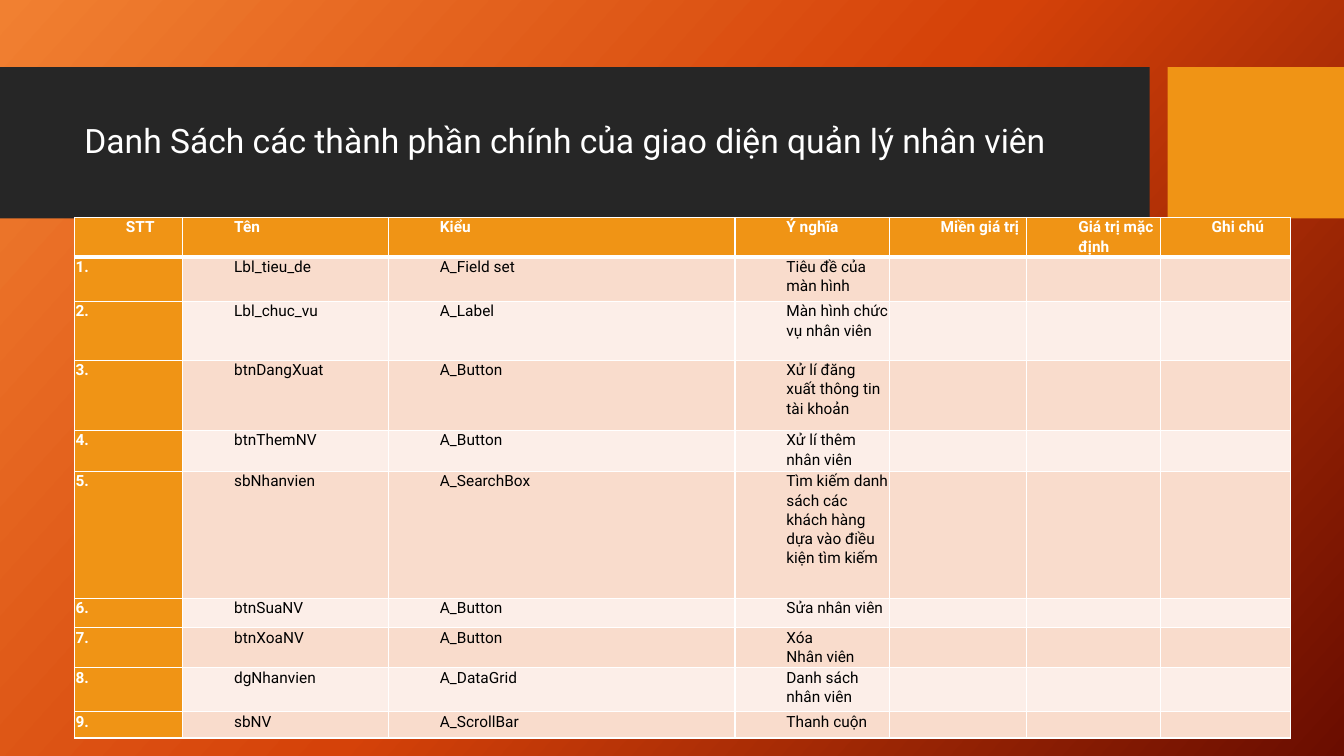
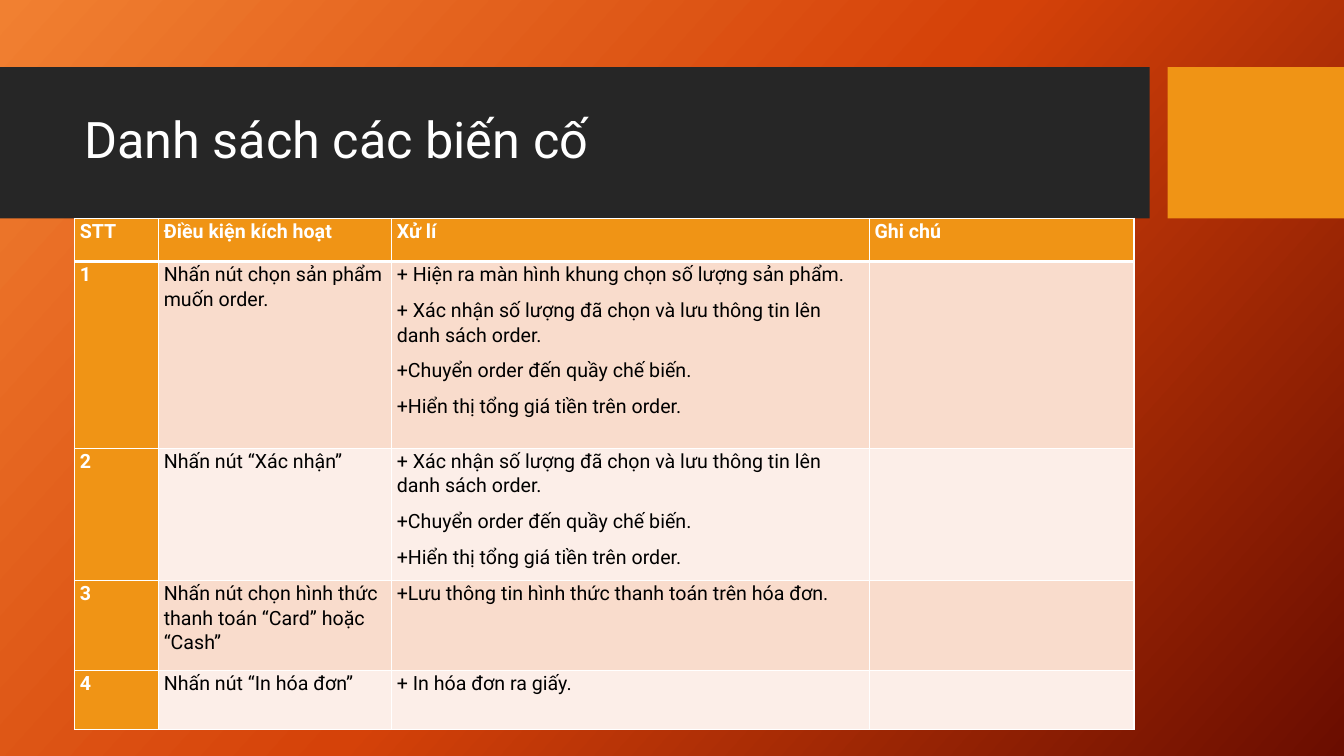
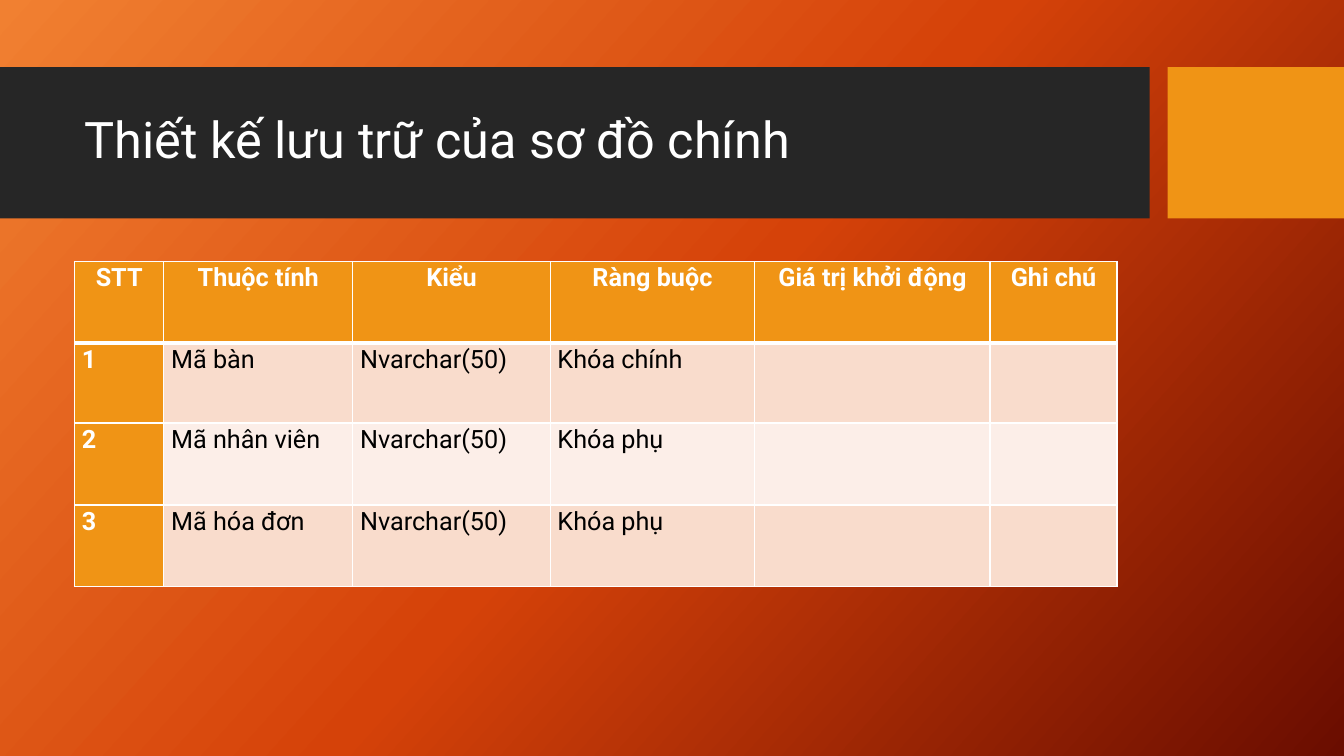
"""Three table slides on a staff and order system, sharing one dark title band."""
from copy import deepcopy
from dataclasses import dataclass

from lxml import etree
from pptx import Presentation, util as u
from pptx.dml.color import RGBColor
from pptx.enum import shapes, text
from pptx.oxml.ns import qn


@dataclass
class Theme:
    font: str = "Roboto"
    white: str = "FFFFFF"
    black: str = "000000"
    band: str = "262626"
    gold: str = "F09415"
    tints: tuple = ("F9DCCC", "FCEEE8")
    glow: tuple = ((0, "F18031"), (0.5, "D54209"), (1, "6A0D00"))
    angle: int = 318
    lead: float = 1.07
    thin: int = 1
    thick: int = 3


look = Theme()
SCALE = 9525
LEFT = 71

decks = [
    dict(
        title="Danh Sách các thành phần chính của giao diện quản lý nhân viên",
        big=24, size=11, top=207, inset=1, indent=48, after=0, align=None,
        cols=[103, 196, 330, 147, 131, 127, 124],
        rows=[38, 42, 56, 67, 39, 121, 28, 38, 42, 25],
        data=[
            ["STT", "Tên", "Kiểu", "Ý nghĩa", "Miền giá trị", "Giá trị mặc định", "Ghi chú"],
            ["1.", "Lbl_tieu_de", "A_Field set", "Tiêu đề của màn hình"],
            ["2.", "Lbl_chuc_vu", "A_Label", "Màn hình chức vụ nhân viên"],
            ["3.", "btnDangXuat", "A_Button", "Xử lí đăng xuất thông tin tài khoản"],
            ["4.", "btnThemNV", "A_Button", "Xử lí thêm nhân viên"],
            ["5.", "sbNhanvien", "A_SearchBox",
             "Tìm kiếm danh sách các khách hàng dựa vào điều kiện tìm kiếm"],
            ["6.", "btnSuaNV", "A_Button", "Sửa nhân viên"],
            ["7.", "btnXoaNV", "A_Button", "Xóa\nNhân viên"],
            ["8.", "dgNhanvien", "A_DataGrid", "Danh sách nhân viên"],
            ["9.", "sbNV", "A_ScrollBar", "Thanh cuộn"],
        ],
    ),
    dict(
        title="Danh sách các biến cố",
        big=36, size=14, top=208, inset=5, indent=0, after=8, align=None,
        cols=[80, 222, 455, 252],
        rows=[41, 178, 126, 86, 56],
        data=[
            ["STT", "Điều kiện kích hoạt", "Xử lí", "Ghi chú"],
            ["1", "Nhấn nút chọn sản phẩm muốn order.",
             "+ Hiện ra màn hình khung chọn số lượng sản phẩm.\n"
             "+ Xác nhận số lượng đã chọn và lưu thông tin lên danh sách order.\n"
             "+Chuyển order đến quầy chế biến.\n"
             "+Hiển thị tổng giá tiền trên order."],
            ["2", "Nhấn nút “Xác nhận”",
             "+ Xác nhận số lượng đã chọn và lưu thông tin lên danh sách order.\n"
             "+Chuyển order đến quầy chế biến.\n"
             "+Hiển thị tổng giá tiền trên order."],
            ["3", "Nhấn nút chọn hình thức thanh toán “Card” hoặc “Cash”",
             "+Lưu thông tin hình thức thanh toán trên hóa đơn."],
            ["4", "Nhấn nút “In hóa đơn”", "+ In hóa đơn ra giấy."],
        ],
    ),
    dict(
        title="Thiết kế lưu trữ của sơ đồ chính",
        big=36, size=18, top=249, inset=7, indent=0, after=8,
        align=text.PP_ALIGN.CENTER,
        cols=[85, 180, 188, 195, 224, 121],
        rows=[78, 76, 78, 78],
        data=[
            ["STT", "Thuộc tính", "Kiểu", "Ràng buộc", "Giá trị khởi động", "Ghi chú"],
            ["1", "Mã bàn", "Nvarchar(50)", "Khóa chính"],
            ["2", "Mã nhân viên", "Nvarchar(50)", "Khóa phụ"],
            ["3", "Mã hóa đơn", "Nvarchar(50)", "Khóa phụ"],
        ],
    ),
]


def px(*nums):
    return [u.Emu(n * SCALE) for n in nums]


def write(para, words, size, tone, bold=False):
    run = para.add_run()
    run.text = words
    run.font.name = look.font
    run.font.size = u.Pt(size)
    run.font.bold = bold
    run.font.color.rgb = RGBColor.from_string(tone)


prs = Presentation()
prs.slide_width, prs.slide_height = px(1280, 720)

back = prs.slide_master.background.fill
back.gradient()
back.gradient_angle = look.angle
last = back.gradient_stops[1]._gs
last.addnext(deepcopy(last))
for stop, (place, tone) in zip(back.gradient_stops, look.glow):
    stop.position = place
    stop.color.rgb = RGBColor.from_string(tone)

for deck in decks:
    slide = prs.slides.add_slide(prs.slide_layouts[6])
    for x, wide, tone in [(0, 1095, look.band), (1112, 168, look.gold)]:
        bar = slide.shapes.add_shape(shapes.MSO_SHAPE.RECTANGLE, *px(x, 64, wide, 144))
        bar.shadow.inherit = False
        bar.fill.solid()
        bar.fill.fore_color.rgb = RGBColor.from_string(tone)
        bar.line.fill.background()

    frame = slide.shapes.add_textbox(*px(LEFT, 79, 1009, 113)).text_frame
    frame.word_wrap = True
    frame.vertical_anchor = text.MSO_ANCHOR.MIDDLE
    frame.paragraphs[0].line_spacing = 0.9
    write(frame.paragraphs[0], deck["title"], deck["big"], look.white)

    cols, rows = deck["cols"], deck["rows"]
    grid = slide.shapes.add_table(
        len(rows), len(cols), *px(LEFT, deck["top"], sum(cols), sum(rows))).table
    grid.horz_banding = False
    for col, wide in zip(grid.columns, px(*cols)):
        col.width = wide
    for row, tall in zip(grid.rows, px(*rows)):
        row.height = tall

    for r, line in enumerate(deck["data"]):
        for c in range(len(cols)):
            cell = grid.cell(r, c)
            head = r == 0
            key = head or c == 0
            cell.margin_left, cell.margin_right = px(deck["inset"], deck["inset"])
            cell.margin_top = cell.margin_bottom = 0
            cell.fill.solid()
            cell.fill.fore_color.rgb = RGBColor.from_string(
                look.gold if key else look.tints[(r - 1) % 2])

            props = cell._tc.get_or_add_tcPr()
            for n, side in enumerate("LRTB"):
                heavy = (r, side) in [(0, "B"), (1, "T")]
                wide = u.Pt(look.thick if heavy else look.thin)
                edge = etree.Element(qn("a:ln" + side), w=str(wide))
                fill = etree.SubElement(edge, qn("a:solidFill"))
                etree.SubElement(fill, qn("a:srgbClr"), val=look.white)
                props.insert(n, edge)

            frame = cell.text_frame
            if c >= len(line):
                etree.SubElement(frame.paragraphs[0]._p, qn("a:endParaRPr"),
                                 sz=str(deck["size"] * 100))
                continue
            for n, words in enumerate(line[c].split("\n")):
                para = frame.add_paragraph() if n else frame.paragraphs[0]
                para.line_spacing = look.lead
                para.space_after = u.Pt(deck["after"])
                if head:
                    para.alignment = deck["align"]
                if head or c:
                    para._p.get_or_add_pPr().set("marL", str(deck["indent"] * SCALE))
                write(para, words, deck["size"], look.white if key else look.black, key)

prs.save("out.pptx")
